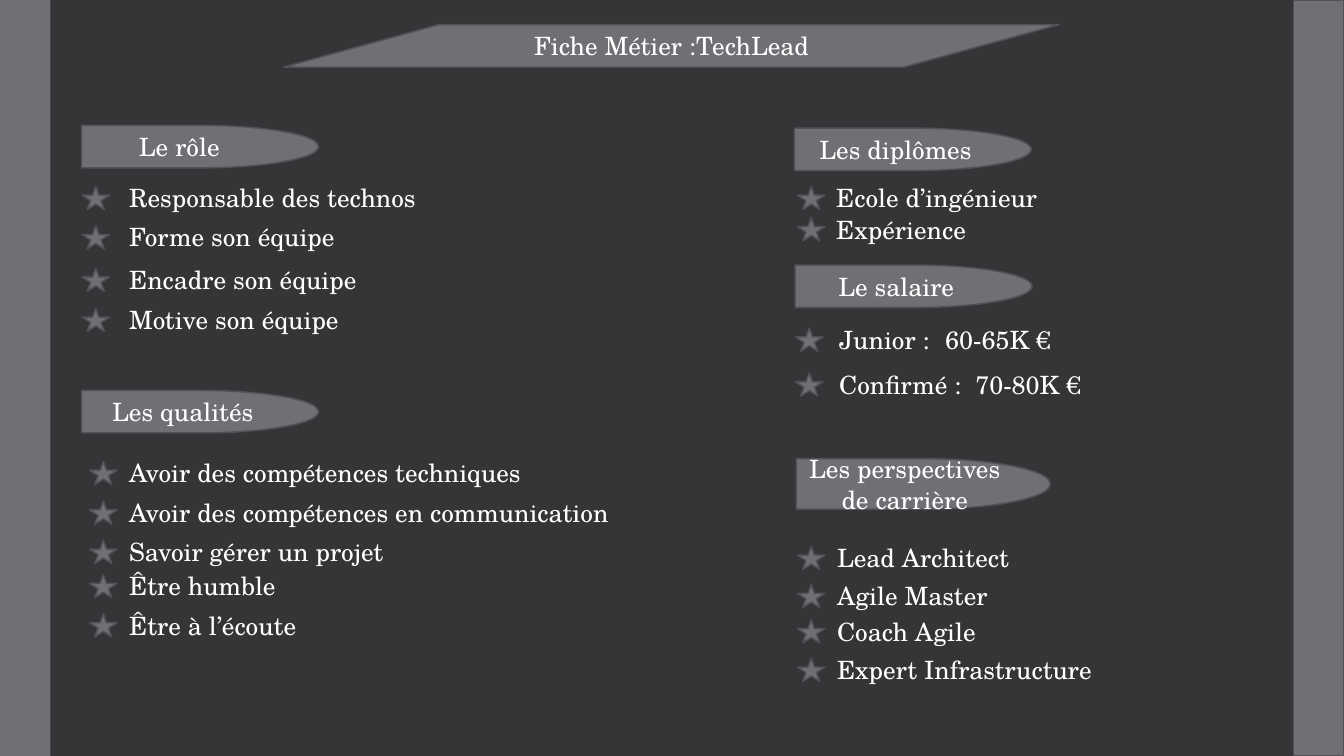
from dataclasses import dataclass

from lxml.etree import SubElement
from pptx import Presentation
from pptx.dml.color import RGBColor
from pptx.enum.shapes import MSO_SHAPE as Shape
from pptx.enum.text import MSO_ANCHOR as Anchor, MSO_AUTO_SIZE as AutoSize, PP_ALIGN as Align
from pptx.oxml.ns import qn
from pptx.util import Cm, Pt

FONT = "TeX Gyre Schola"
BACK, GREY, EDGE, WHITE = "353537", "6F6F74", "525256", "FFFFFF"
W, H = 33.87, 19.05
BAR_W = 1.27
TITLE_BOX = (7.16, 0.62, 19.53, 1.07)
LINE_H = 0.76          # height of one 18 pt line
BOX_H = 1.02           # one line plus its insets
STAR_W, STAR_H, STAR_DROP = 0.69, 0.58, 0.23


@dataclass
class Section:
    heading: str
    box: tuple[float, float, float, float]
    star_x: float
    text_x: float
    width: float
    tops: list[float]
    items: list[str]


@dataclass
class Salary:
    label: str
    label_w: float
    amount: str
    amount_w: float
    top: float
    amount_x: float


SECTIONS = [
    Section("Le rôle ", (2.06, 3.16, 5.97, 1.07), 2.07, 3.0, 9, [4.47, 5.46, 6.53, 7.54],
            ["Responsable des technos", "Forme son équipe", "Encadre son équipe",
             "Motive son équipe"]),
    Section("Les qualités", (2.06, 9.84, 5.97, 1.07), 2.26, 3.0, 14,
            [11.4, 12.4, 13.39, 14.25, 15.24],
            ["Avoir des compétences techniques", "Avoir des compétences en communication",
             "Savoir gérer un projet", "Être humble", "Être à l’écoute"]),
    Section("Les diplômes", (20.02, 3.23, 5.97, 1.07), 20.1, 20.82, 7, [4.47, 5.26],
            ["Ecole d’ingénieur", "Expérience"]),
    Section("Les perspectives de carrière", (20.07, 11.56, 6.4, 1.27), 20.1, 20.84, 8,
            [13.54, 14.5, 15.39, 16.36],
            ["Lead Architect", "Agile Master", "Coach Agile", "Expert Infrastructure"]),
]
SALARY_BOX = (20.04, 6.68, 5.97, 1.07)
SALARY_STAR_X, SALARY_X = 20.05, 20.9
SALARIES = [
    Salary("Junior :", 2.9, "60-65K €", 3.4, 8.04, 23.57),
    Salary("Confirmé :", 3.8, "70-80K €", 3.4, 9.17, 24.33),
]


def rgb(code: str) -> RGBColor:
    return RGBColor.from_string(code)


def style(p, align=Align.LEFT) -> None:
    p.alignment = align
    for r in p.runs:
        r.font.name, r.font.size, r.font.bold = FONT, Pt(18), False
        r.font.color.rgb = rgb(WHITE)


def place(sp, x: float, y: float, w: float, h: float) -> None:
    sp.left, sp.top, sp.width, sp.height = Cm(x), Cm(y), Cm(w), Cm(h)


def add_shape(s, kind, x: float, y: float, w: float, h: float, edge: bool = True):
    sp = s.shapes.add_shape(kind, Cm(x), Cm(y), Cm(w), Cm(h))
    sp.shadow.inherit = False
    sp.fill.solid()
    sp.fill.fore_color.rgb = rgb(GREY)
    if edge:
        sp.line.color.rgb = rgb(EDGE)
        sp.line.width = Pt(1.1)
    else:
        sp.line.fill.background()
    return sp


def add_heading(s, text: str, box: tuple[float, float, float, float]) -> None:
    tf = add_shape(s, Shape.FLOWCHART_DELAY, *box).text_frame
    tf.text = text
    tf.word_wrap = True
    tf.vertical_anchor = Anchor.MIDDLE
    style(tf.paragraphs[0], Align.CENTER)


def add_star(s, x: float, text_top: float) -> None:
    add_shape(s, Shape.STAR_5_POINT, x, text_top + STAR_DROP, STAR_W, STAR_H)


def add_label(s, text: str, x: float, y: float, w: float) -> None:
    tf = s.shapes.add_textbox(Cm(x), Cm(y), Cm(w), Cm(BOX_H)).text_frame
    tf.text = text
    tf.word_wrap = False
    tf.auto_size = AutoSize.SHAPE_TO_FIT_TEXT
    style(tf.paragraphs[0])


def add_title(s, sp, text: str) -> None:
    add_shape(s, Shape.FLOWCHART_DATA, *TITLE_BOX)
    s.shapes._spTree.append(sp.element)    # title text in front of its banner
    place(sp, *TITLE_BOX)
    tf = sp.text_frame
    tf.text = text
    tf.auto_size = AutoSize.NONE
    tf.vertical_anchor = Anchor.MIDDLE
    style(tf.paragraphs[0], Align.CENTER)


def fill_list(sp, sec: Section) -> None:
    place(sp, sec.text_x, sec.tops[0], sec.width, sec.tops[-1] - sec.tops[0] + BOX_H)
    tf = sp.text_frame
    tf.text = "\n".join(sec.items)
    tf.auto_size = AutoSize.NONE
    tf.vertical_anchor = Anchor.TOP
    previous = sec.tops[0] - LINE_H
    for p, top in zip(tf.paragraphs, sec.tops):
        pPr = p._p.get_or_add_pPr()
        pPr.set("marL", "0")
        pPr.set("indent", "0")
        SubElement(pPr, qn("a:buNone"))
        p.line_spacing = 1.0
        p.space_before = Cm(max(0, top - previous - LINE_H))
        style(p)
        previous = top


def main() -> None:
    prs = Presentation()
    prs.slide_width, prs.slide_height = Cm(W), Cm(H)
    comparison = prs.slide_layouts.get_by_name("Comparison")
    s = prs.slides.add_slide(comparison)
    s.background.fill.solid()
    s.background.fill.fore_color.rgb = rgb(BACK)
    title, *bodies = s.placeholders

    # Side bars and title
    add_shape(s, Shape.RECTANGLE, 0, 0, BAR_W, H, edge=False)
    add_shape(s, Shape.RECTANGLE, W - BAR_W, 0, BAR_W, H)
    add_title(s, title, "Fiche Métier :TechLead")

    # Sections with a starred list
    for body, sec in zip(bodies, SECTIONS):
        add_heading(s, sec.heading, sec.box)
        fill_list(body, sec)
        for top in sec.tops:
            add_star(s, sec.star_x, top)

    # Salaries
    add_heading(s, "Le salaire", SALARY_BOX)
    for pay in SALARIES:
        add_star(s, SALARY_STAR_X, pay.top)
        add_label(s, pay.label, SALARY_X, pay.top, pay.label_w)
        add_label(s, pay.amount, pay.amount_x, pay.top, pay.amount_w)

    prs.save("out.pptx")


if __name__ == "__main__":
    main()
